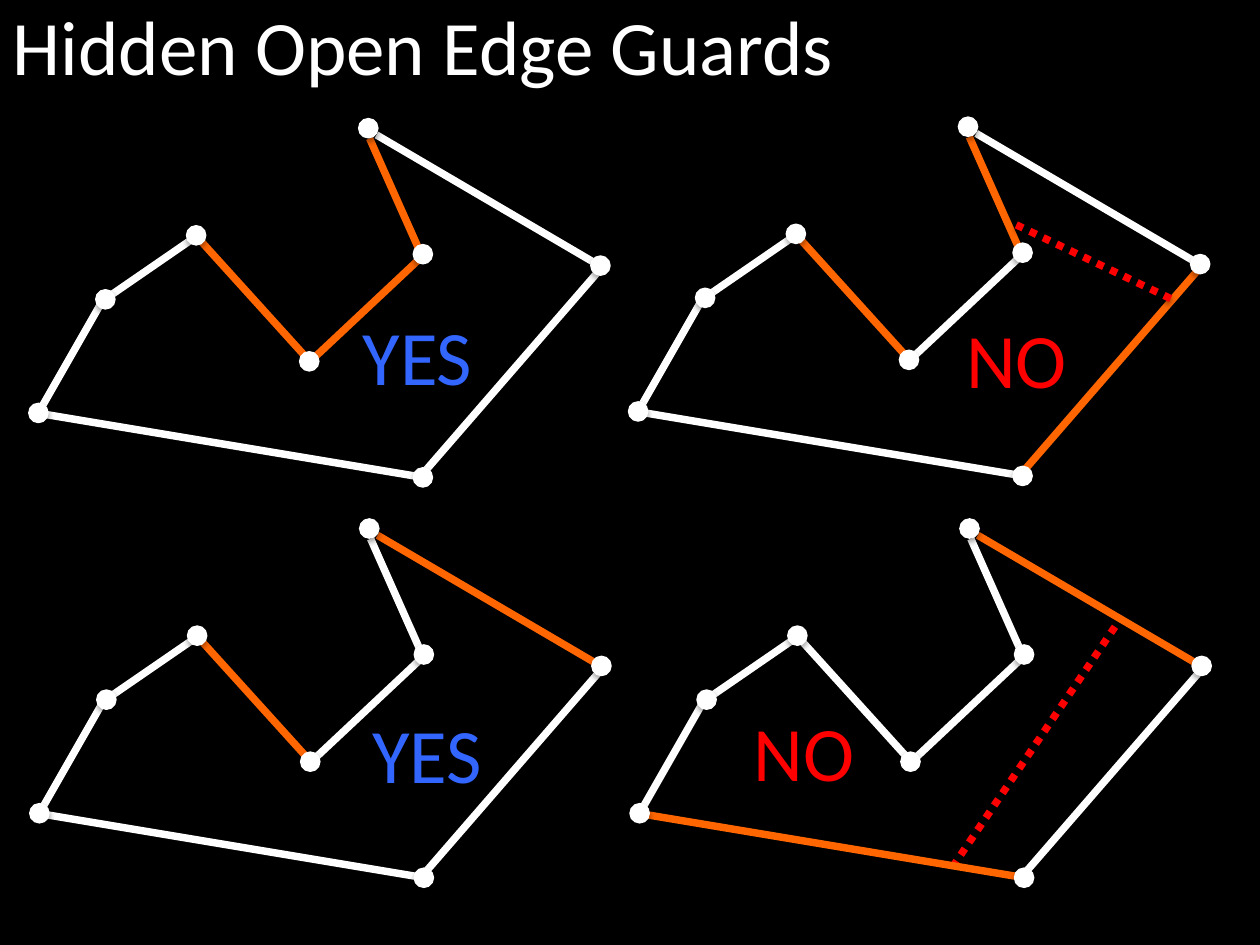
"""Build the slide on hidden open edge guards in four polygon panels."""
from typing import NamedTuple

import pptx
import pptx.dml.color
import pptx.enum.dml
import pptx.enum.shapes
import pptx.enum.text
import pptx.oxml
import pptx.oxml.ns
import pptx.util
from pptx.util import Cm

WHITE, BLACK, ORANGE = "FFFFFF", "000000", "FF6600"
RED, BLUE = "FF0000", "3366FF"
FONT, TEXT_SIZE = "Calibri", 44
DOT_SIZE = 0.39
LABEL_SIZE = (4.42, 2.13)


class Segment(NamedTuple):
    x1: float
    y1: float
    x2: float
    y2: float


class Panel(NamedTuple):
    left: float
    top: float
    guards: set[int]
    label: str
    label_color: str
    label_left: float
    label_top: float


EDGES = [
    Segment(7.01, 0.33, 11.48, 2.95),
    Segment(1.51, 3.63, 0.19, 5.94),
    Segment(1.51, 3.66, 3.37, 2.38),
    Segment(3.37, 2.36, 5.67, 4.9),
    Segment(5.67, 4.9, 7.93, 2.78),
    Segment(0.19, 5.94, 7.93, 7.23),
    Segment(7.9, 7.21, 11.64, 2.9),
    Segment(7.93, 2.78, 6.87, 0.4),
]
VERTICES = [(0, 5.74), (3.18, 2.16), (5.46, 4.7), (7.75, 2.54),
            (6.65, 0), (7.75, 7.04), (11.33, 2.77), (1.35, 3.45)]
TOP_PANELS = [
    Panel(12.67, 2.36, {3, 6, 7}, "NO", RED, 19.23, 6.15),
    Panel(0.58, 2.39, {3, 4, 7}, "YES", BLUE, 7.06, 6.1),
]
BOTTOM_PANELS = [
    Panel(12.7, 10.46, {0, 5}, "NO", RED, 14.94, 14.07),
    Panel(0.6, 10.46, {0, 3}, "YES", BLUE, 7.26, 14.12),
]
SIGHTLINES = [Segment(23.6, 6.02, 20.42, 4.5),
              Segment(19.2, 17.48, 22.5, 12.6)]


def rgb(color: str) -> pptx.dml.color.RGBColor:
    return pptx.dml.color.RGBColor.from_string(color)


def add_shadow(sp, distance: int, opacity: int) -> None:
    sp._element.spPr.append(pptx.oxml.parse_xml(
        f'<a:effectLst {pptx.oxml.ns.nsdecls("a")}>'
        f'<a:outerShdw blurRad="40000" dist="{distance}" dir="5400000" rotWithShape="0">'
        f'<a:srgbClr val="{BLACK}"><a:alpha val="{opacity * 1000}"/></a:srgbClr>'
        '</a:outerShdw></a:effectLst>'))


def add_line(shapes, seg: Segment, color: str, dotted: bool = False) -> None:
    line = shapes.add_connector(pptx.enum.shapes.MSO_CONNECTOR.STRAIGHT,
                                *(Cm(v) for v in seg))
    line.line.color.rgb = rgb(color)
    line.line.width = pptx.util.Pt(4.25)
    if dotted:
        line.line.dash_style = pptx.enum.dml.MSO_LINE.ROUND_DOT
    add_shadow(line, 20000, 38)


def add_dot(shapes, x: float, y: float) -> None:
    dot = shapes.add_shape(pptx.enum.shapes.MSO_SHAPE.OVAL,
                           Cm(x), Cm(y), Cm(DOT_SIZE), Cm(DOT_SIZE))
    dot.fill.solid()
    dot.fill.fore_color.rgb = rgb(WHITE)
    dot.line.color.rgb = rgb(WHITE)
    dot.line.width = pptx.util.Pt(0.75)
    add_shadow(dot, 23000, 35)


def write(sp, text: str, color: str) -> None:
    tf = sp.text_frame
    tf.text = text
    tf.word_wrap = True
    tf.auto_size = pptx.enum.text.MSO_AUTO_SIZE.NONE
    tf.vertical_anchor = pptx.enum.text.MSO_ANCHOR.TOP
    p = tf.paragraphs[0]
    p.alignment = pptx.enum.text.PP_ALIGN.LEFT
    r = p.runs[0]
    r.font.name = FONT
    r.font.size = pptx.util.Pt(TEXT_SIZE)
    r.font.color.rgb = rgb(color)


def add_panel(s, panel: Panel) -> None:
    shapes = s.shapes.add_group_shape().shapes
    x, y = panel.left, panel.top
    for i, e in enumerate(EDGES):
        color = ORANGE if i in panel.guards else WHITE
        add_line(shapes, Segment(x + e.x1, y + e.y1, x + e.x2, y + e.y2), color)
    for dx, dy in VERTICES:
        add_dot(shapes, x + dx, y + dy)
    width, height = LABEL_SIZE
    label = s.shapes.add_textbox(Cm(panel.label_left), Cm(panel.label_top),
                                 Cm(width), Cm(height))
    write(label, panel.label, panel.label_color)


def main() -> None:
    prs = pptx.Presentation()
    prs.slide_width, prs.slide_height = Cm(25.4), Cm(19.05)
    s = prs.slides.add_slide(prs.slide_layouts[5])
    s.background.fill.solid()
    s.background.fill.fore_color.rgb = rgb(BLACK)

    title = s.shapes.title
    title.left, title.top = Cm(0), Cm(-0.15)
    title.width, title.height = Cm(23.65), Cm(2.13)
    write(title, "Hidden Open Edge Guards", WHITE)

    for panel in TOP_PANELS:
        add_panel(s, panel)
    for seg in SIGHTLINES:
        add_line(s.shapes, seg, RED, dotted=True)
    for panel in BOTTOM_PANELS:
        add_panel(s, panel)
    prs.save("out.pptx")


if __name__ == "__main__":
    main()
